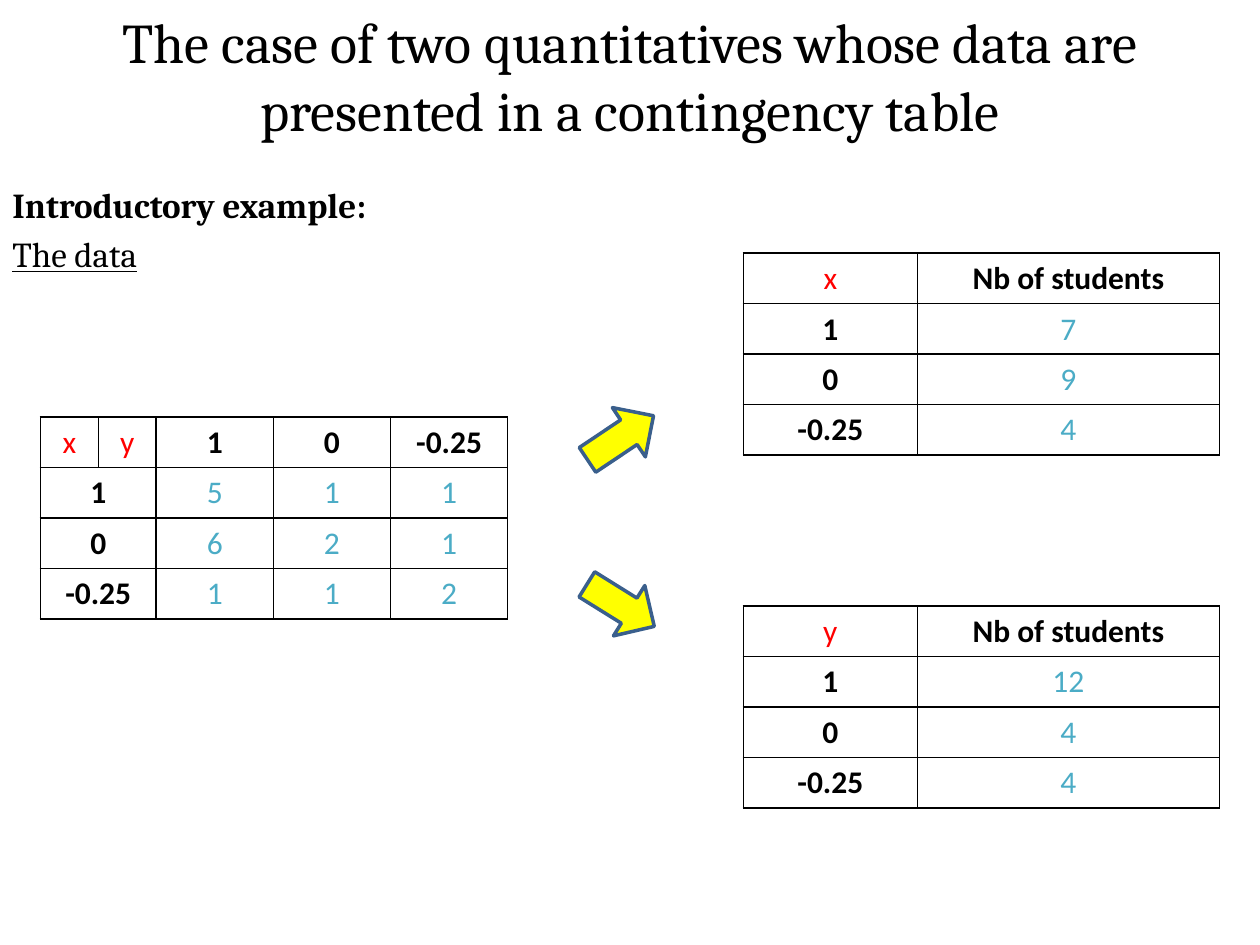
from typing import NamedTuple

from lxml import etree
from pptx import Presentation, util as u
from pptx.dml.color import RGBColor
from pptx.enum import shapes, text
from pptx.oxml import ns

BLACK = RGBColor(0x00, 0x00, 0x00)
RED = RGBColor(0xFF, 0x00, 0x00)
TEAL = RGBColor(0x4B, 0xAC, 0xC6)
YELLOW = RGBColor(0xFF, 0xFF, 0x00)
NAVY = RGBColor(0x3A, 0x5F, 0x8C)

ROW_HEIGHT = 0.4
VARIABLE = {"bold": False, "color": RED}
LABEL = {"bold": True, "color": BLACK}
COUNT = {"bold": False, "color": TEAL}
CELL_FONT = {"name": "Calibri", "size": u.Pt(18)}
TITLE_FONT = {"name": "Cambria", "size": u.Pt(32), "color": BLACK}
BODY_FONT = {"name": "Cambria", "size": u.Pt(20), "color": BLACK}


class Line(NamedTuple):
    wording: str
    font: dict


class TextBlock(NamedTuple):
    left: float
    top: float
    width: float
    height: float
    lines: list[Line]
    frame: dict
    paragraph: dict


class Arrow(NamedTuple):
    top: float
    rotation: float


class DataTable(NamedTuple):
    left: float
    top: float
    columns: list[float]
    variables: int
    rows: list[list[str]]


BLOCKS = [
    TextBlock(0.5, -0.03, 9, 1.25,
              [Line("The case of two quantitatives whose data are presented in a contingency table",
                    TITLE_FONT)],
              {"vertical_anchor": text.MSO_ANCHOR.MIDDLE},
              {"alignment": text.PP_ALIGN.CENTER}),
    TextBlock(0, 1.41, 10, 6.09,
              [Line("Introductory example:", BODY_FONT | {"bold": True}),
               Line("The data", BODY_FONT | {"underline": True})],
              {"vertical_anchor": text.MSO_ANCHOR.TOP},
              {"alignment": text.PP_ALIGN.LEFT}),
]
ARROWS = [Arrow(3.24, 326.2), Arrow(4.57, 31.9)]
MARGIN_COLUMNS = [1.38, 2.4]
TABLES = [
    DataTable(0.32, 3.31, [0.46, 0.46, 0.93, 0.93, 0.93], 2,
              [["x", "y", "1", "0", "-0.25"],
               ["1", "", "5", "1", "1"],
               ["0", "", "6", "2", "1"],
               ["-0.25", "", "1", "1", "2"]]),
    DataTable(5.9, 2.01, MARGIN_COLUMNS, 1,
              [["x", "Nb of students"], ["1", "7"], ["0", "9"], ["-0.25", "4"]]),
    DataTable(5.9, 4.81, MARGIN_COLUMNS, 1,
              [["y", "Nb of students"], ["1", "12"], ["0", "4"], ["-0.25", "4"]]),
]


def format_font(font, values: dict) -> None:
    for key, value in values.items():
        if key == "color":
            font.color.rgb = value
        else:
            setattr(font, key, value)


def draw_text(slide, block: TextBlock) -> None:
    frame = slide.shapes.add_textbox(*map(u.Inches, block[:4])).text_frame
    frame.word_wrap = True
    for key, value in block.frame.items():
        setattr(frame, key, value)
    for index, line in enumerate(block.lines):
        paragraph = frame.add_paragraph() if index else frame.paragraphs[0]
        for key, value in block.paragraph.items():
            setattr(paragraph, key, value)
        if index:
            paragraph.space_before = u.Pt(4)
        run = paragraph.add_run()
        run.text = line.wording
        format_font(run.font, line.font)


def draw_arrow(slide, arrow: Arrow) -> None:
    pointer = slide.shapes.add_shape(
        shapes.MSO_SHAPE.RIGHT_ARROW, u.Inches(4.61), u.Inches(arrow.top),
        u.Inches(0.63), u.Inches(0.47))
    pointer.rotation = arrow.rotation
    pointer.shadow.inherit = False
    pointer.fill.solid()
    pointer.fill.fore_color.rgb = YELLOW
    pointer.line.color.rgb = NAVY
    pointer.line.width = u.Pt(2)


def add_borders(cell) -> None:
    properties = cell._tc.get_or_add_tcPr()
    for position, side in enumerate(("lnL", "lnR", "lnT", "lnB")):
        border = etree.Element(ns.qn(f"a:{side}"), w=str(u.Pt(1)))
        fill = etree.SubElement(border, ns.qn("a:solidFill"))
        etree.SubElement(fill, ns.qn("a:srgbClr"), val=str(BLACK))
        properties.insert(position, border)


def draw_table(slide, data: DataTable) -> None:
    table = slide.shapes.add_table(
        len(data.rows), len(data.columns), u.Inches(data.left), u.Inches(data.top),
        u.Inches(sum(data.columns)), u.Inches(ROW_HEIGHT * len(data.rows))).table
    table.first_row = table.horz_banding = False
    for column, width in zip(table.columns, data.columns):
        column.width = u.Inches(width)
    for row_index, entries in enumerate(data.rows):
        table.rows[row_index].height = u.Inches(ROW_HEIGHT)
        if row_index and data.variables > 1:
            table.cell(row_index, 0).merge(table.cell(row_index, data.variables - 1))
        for column_index, entry in enumerate(entries):
            cell = table.cell(row_index, column_index)
            cell.fill.background()
            add_borders(cell)
            if not entry:
                continue
            in_head, in_stub = row_index == 0, column_index < data.variables
            style = VARIABLE if in_head and in_stub else LABEL if in_head or in_stub else COUNT
            paragraph = cell.text_frame.paragraphs[0]
            paragraph.alignment = text.PP_ALIGN.CENTER
            run = paragraph.add_run()
            run.text = entry
            format_font(run.font, CELL_FONT | style)


def main() -> None:
    deck = Presentation()
    deck.slide_width, deck.slide_height = u.Inches(10), u.Inches(7.5)
    slide = deck.slides.add_slide(deck.slide_layouts[6])
    for block in BLOCKS:
        draw_text(slide, block)
    for arrow in ARROWS:
        draw_arrow(slide, arrow)
    for data in TABLES:
        draw_table(slide, data)
    deck.save("out.pptx")


if __name__ == "__main__":
    main()
